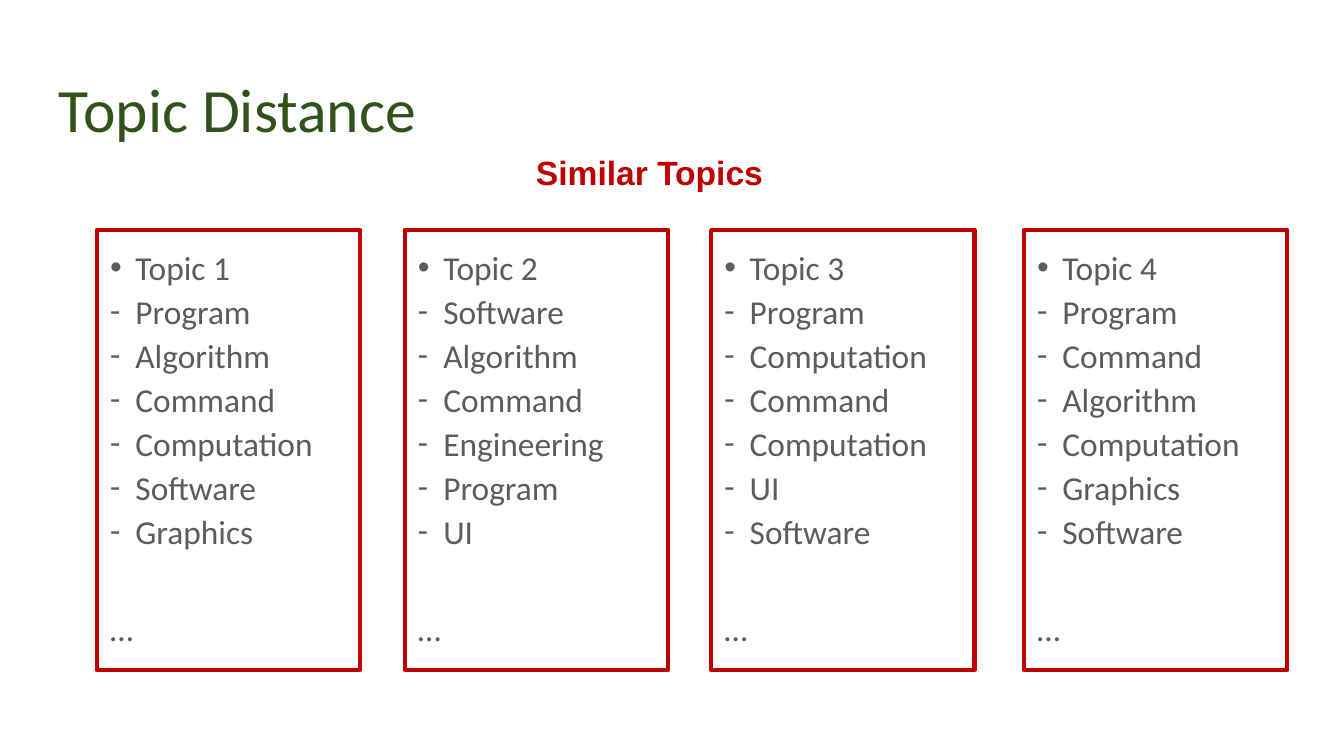
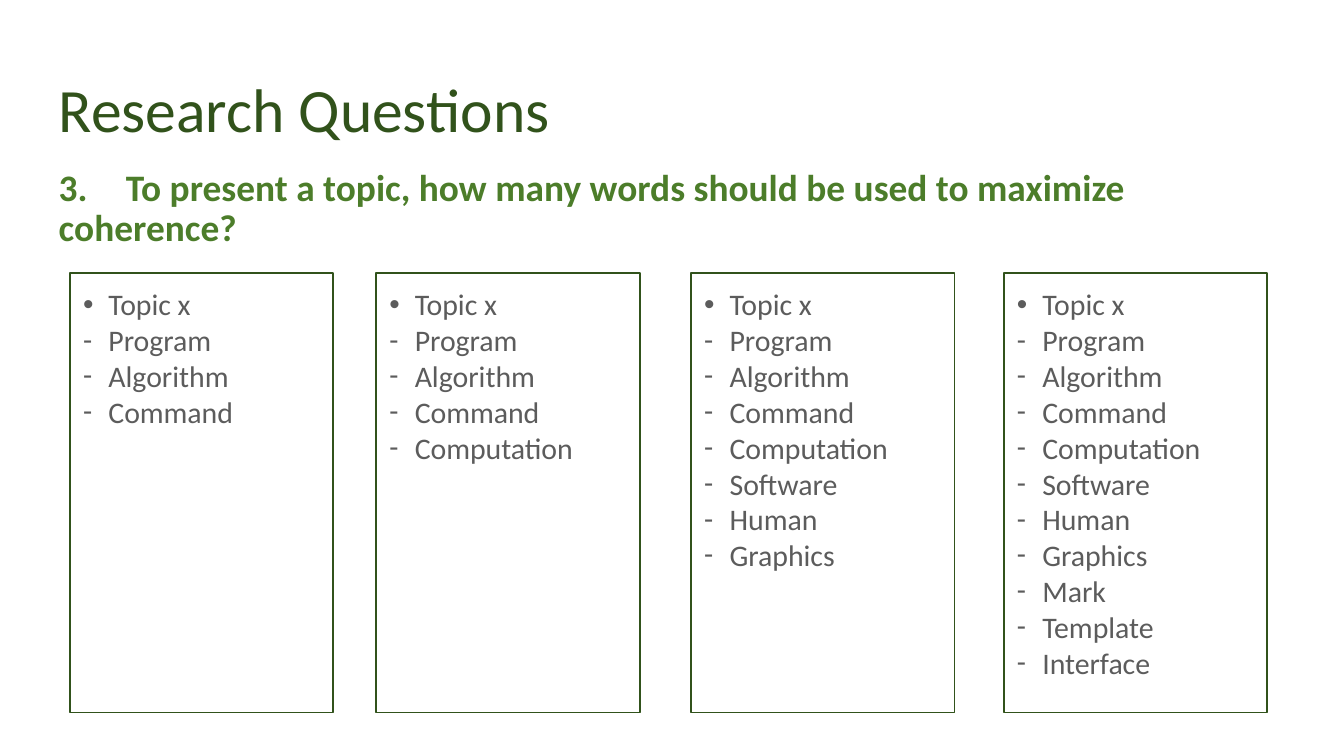
import pptx
import pptx.dml.color
import pptx.enum.shapes
import pptx.enum.text
import pptx.oxml
import pptx.oxml.ns
import pptx.util
from pptx.util import Cm

COLORS = {
    "dark_green": "31521B",
    "green": "4C7D2A",
    "red": "C00000",
    "grey": "5C5C5C",
    "white": "FFFFFF",
}
TITLE_BOX = (0.86, 1.24, 23.67, 1.6)
COLUMN_WIDTH, COLUMN_HEIGHT = 4.98, 8.31
INSET = 0.25
BULLET_INDENT = 0.48

DISTANCE_LEFTS = [1.83, 7.65, 13.44, 19.35]
DISTANCE_TOPICS = [
    ["Topic 1", "Program", "Algorithm", "Command", "Computation", "Software", "Graphics"],
    ["Topic 2", "Software", "Algorithm", "Command", "Engineering", "Program", "UI"],
    ["Topic 3", "Program", "Computation", "Command", "Computation", "UI", "Software"],
    ["Topic 4", "Program", "Command", "Algorithm", "Computation", "Graphics", "Software"],
]
QUESTION_LEFTS = [1.32, 7.11, 13.06, 18.97]
QUESTION_WORDS = ["Program", "Algorithm", "Command", "Computation", "Software",
                  "Human", "Graphics", "Mark", "Template", "Interface"]
WORD_COUNTS = [3, 4, 7, 10]


def rgb(name):
    return pptx.dml.color.RGBColor.from_string(COLORS[name])


def place(shape, box):
    shape.left, shape.top, shape.width, shape.height = map(Cm, box)


def prepare_frame(shape):
    frame = shape.text_frame
    frame.margin_left = frame.margin_right = Cm(INSET)
    frame.margin_top = frame.margin_bottom = Cm(INSET)
    frame.word_wrap = True
    frame.auto_size = pptx.enum.text.MSO_AUTO_SIZE.NONE
    frame.vertical_anchor = pptx.enum.text.MSO_ANCHOR.TOP
    return frame


def add_property(paragraph, xml):
    namespace = pptx.oxml.ns.nsdecls("a")
    element = pptx.oxml.parse_xml(xml.replace("/>", f" {namespace}/>", 1)
                                  if xml.count("<") == 1
                                  else xml.replace(">", f" {namespace}>", 1))
    paragraph._p.get_or_add_pPr().append(element)


def set_bullet(paragraph, mark):
    """Give the paragraph a hanging bullet, or none when mark is empty."""
    indent = Cm(BULLET_INDENT) if mark else 0
    properties = paragraph._p.get_or_add_pPr()
    properties.set("marL", str(indent))
    properties.set("indent", str(-indent))
    if mark:
        font_name = "Arial" if mark == "•" else "Calibri"
        add_property(paragraph, f'<a:buFont typeface="{font_name}"/>')
        add_property(paragraph, f'<a:buChar char="{mark}"/>')
    else:
        add_property(paragraph, "<a:buNone/>")


def write(paragraph, text, size, color, font_name="Calibri", bold=False,
          line_spacing=1.0, space_before=0):
    paragraph.alignment = pptx.enum.text.PP_ALIGN.LEFT
    paragraph.line_spacing = line_spacing
    paragraph.space_before = pptx.util.Pt(space_before)
    run = paragraph.add_run()
    run.text = text
    run.font.name = font_name
    run.font.size = pptx.util.Pt(size)
    run.font.bold = bold
    run.font.color.rgb = rgb(color)


def add_titled_slide(presentation, title):
    slide = presentation.slides.add_slide(presentation.slide_layouts[1])
    place(slide.shapes.title, TITLE_BOX)
    frame = prepare_frame(slide.shapes.title)
    write(frame.paragraphs[0], title, 33, "dark_green", line_spacing=0.9)
    return slide


def add_column(slide, left, top):
    shape = slide.shapes.add_shape(
        pptx.enum.shapes.MSO_SHAPE.RECTANGLE,
        Cm(left), Cm(top), Cm(COLUMN_WIDTH), Cm(COLUMN_HEIGHT))
    shape.shadow.inherit = False
    return shape


def fill_column(shape, lines, line_color, line_width, size, line_spacing, ellipsis=False):
    """Frame the shape and list a topic name followed by its words."""
    shape.fill.solid()
    shape.fill.fore_color.rgb = rgb("white")
    shape.line.color.rgb = rgb(line_color)
    shape.line.width = pptx.util.Pt(line_width)
    frame = prepare_frame(shape)
    for index, line in enumerate(lines):
        paragraph = frame.add_paragraph() if index else frame.paragraphs[0]
        set_bullet(paragraph, "-" if index else "•")
        write(paragraph, line, size, "grey", line_spacing=line_spacing)
    if ellipsis:
        paragraph = frame.add_paragraph()
        set_bullet(paragraph, "")
        write(paragraph, "…", size, "grey", line_spacing=line_spacing, space_before=28)


def add_caption(slide, text, box):
    caption = slide.shapes.add_textbox(*map(Cm, box))
    caption.text_frame.word_wrap = False
    write(caption.text_frame.paragraphs[0], text, 18, "red", font_name="Arial", bold=True)


def build_topic_distance(presentation):
    slide = add_titled_slide(presentation, "Topic Distance")
    top = 4.35
    for index, (left, lines) in enumerate(zip(DISTANCE_LEFTS, DISTANCE_TOPICS)):
        if index == 0:
            column = slide.placeholders[1]
            place(column, (left, top, COLUMN_WIDTH, COLUMN_HEIGHT))
        else:
            column = add_column(slide, left, top)
        fill_column(column, lines, "red", 2.25, 17.9, 1.1, ellipsis=True)
    add_caption(slide, "Similar Topics", (9.88, 2.74, 4.9, 1.02))


def build_research_questions(presentation):
    slide = add_titled_slide(presentation, "Research Questions")
    question = slide.placeholders[1]
    place(question, (0.86, 2.95, 23.29, 1.27))
    paragraph = prepare_frame(question).paragraphs[0]
    set_bullet(paragraph, "")
    add_property(paragraph, f'<a:tabLst><a:tab pos="{Cm(0.87)}" algn="l"/></a:tabLst>')
    write(paragraph,
          "3.\tTo present a topic, how many words should be used to maximize coherence?",
          20, "green", bold=True, line_spacing=0.9)
    for left, count in zip(QUESTION_LEFTS, WORD_COUNTS):
        column = add_column(slide, left, 5.16)
        fill_column(column, ["Topic x"] + QUESTION_WORDS[:count], "dark_green", 1, 16, 1.0)


def main():
    presentation = pptx.Presentation()
    presentation.slide_width = Cm(25.4)
    presentation.slide_height = Cm(14.29)
    build_topic_distance(presentation)
    build_research_questions(presentation)
    presentation.save("out.pptx")


if __name__ == "__main__":
    main()
